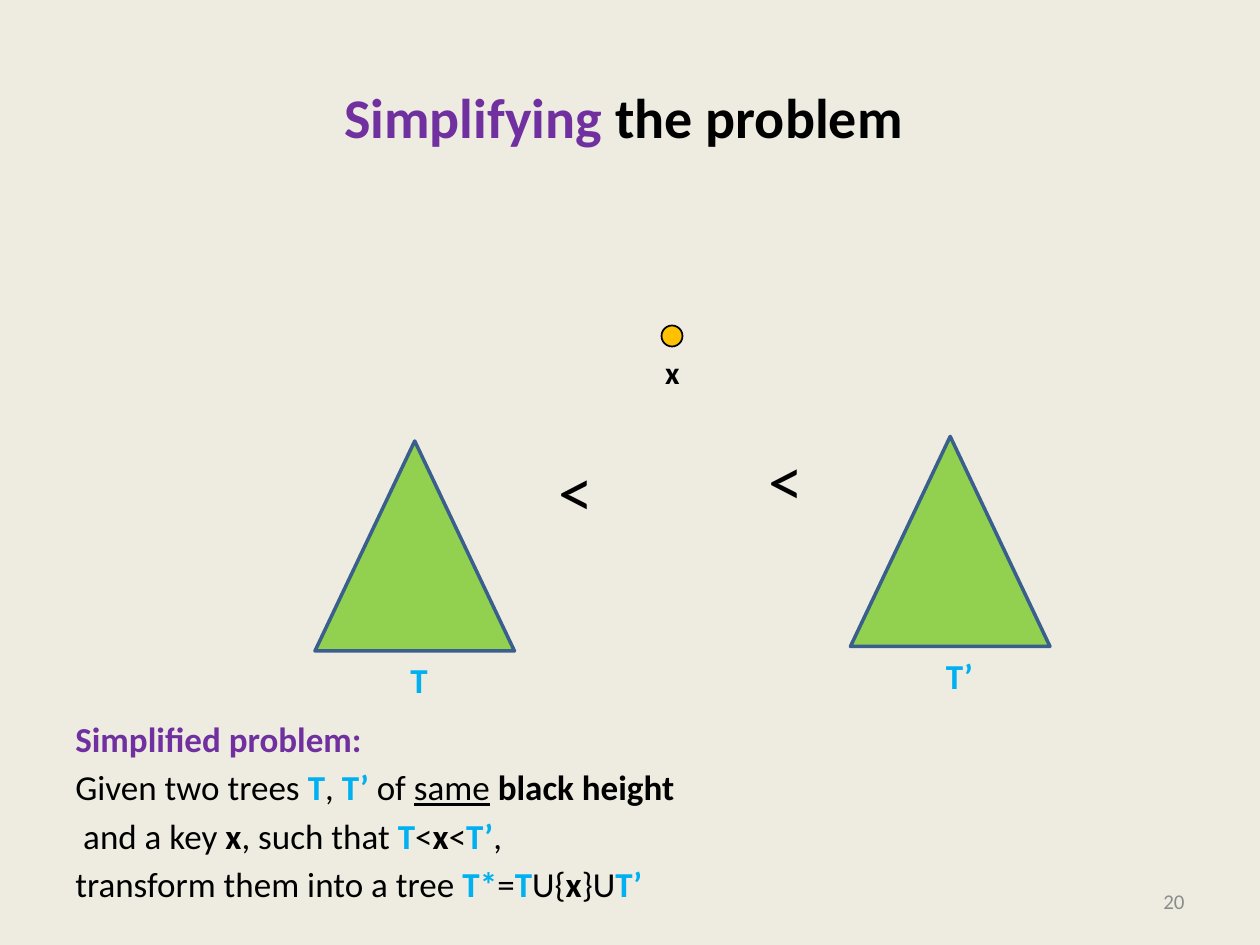
from pptx import Presentation
from pptx.dml.color import RGBColor
from pptx.enum.shapes import MSO_SHAPE
from pptx.enum.text import MSO_ANCHOR, PP_ALIGN
from pptx.util import Pt

HUES = {
    "back": "EEECE1", "head": "7030A0", "text": "000000", "tree": "00B0F0",
    "page": "8C8C8C", "leaf": "92D050", "edge": "3A5F8C", "node": "FFC000",
}
# Run style: colour, bold, underline
LOOKS = {
    "head": ("head", True, False),
    "tree": ("tree", True, False),
    "bold": ("text", True, False),
    "text": ("text", False, False),
    "line": ("text", False, True),
    "page": ("page", False, False),
}

deck = Presentation()
deck.slide_width, deck.slide_height = Pt(720), Pt(540)
slide = deck.slides.add_slide(deck.slide_layouts[6])
slide.background.fill.solid()
slide.background.fill.fore_color.rgb = RGBColor.from_string(HUES["back"])


def write(x, y, w, h, size, lines, align=PP_ALIGN.LEFT,
          anchor=MSO_ANCHOR.TOP, wrap=True, gap=0):
    """Add a text box; each line is a list of (text, look) runs."""
    frame = slide.shapes.add_textbox(Pt(x), Pt(y), Pt(w), Pt(h)).text_frame
    frame.word_wrap = wrap
    frame.vertical_anchor = anchor
    for i, line in enumerate(lines):
        para = frame.add_paragraph() if i else frame.paragraphs[0]
        para.alignment = align
        para.space_before = Pt(gap if i else 0)
        for text, look in line:
            run = para.add_run()
            run.text = text
            hue, bold, under = LOOKS[look]
            font = run.font
            font.name, font.size = "Calibri", Pt(size)
            font.bold, font.underline = bold, under
            font.color.rgb = RGBColor.from_string(HUES[hue])


def draw(kind, x, y, w, h, fill, edge, width):
    """Add a filled and outlined preset shape."""
    shape = slide.shapes.add_shape(kind, Pt(x), Pt(y), Pt(w), Pt(h))
    shape.shadow.inherit = False
    shape.fill.solid()
    shape.fill.fore_color.rgb = RGBColor.from_string(HUES[fill])
    shape.line.color.rgb = RGBColor.from_string(HUES[edge])
    shape.line.width = Pt(width)


# Title
write(36, 21.6, 648, 90, 32,
      [[("Simplifying", "head"), (" the problem ", "bold")]],
      PP_ALIGN.CENTER, MSO_ANCHOR.MIDDLE)

# Problem statement
write(36, 406.5, 648, 120, 20, [
    [("Simplified problem:", "head")],
    [("Given two trees ", "text"), ("T", "tree"), (", ", "text"),
     ("T’", "tree"), (" of ", "text"), ("same", "line"), (" ", "text"),
     ("black height", "bold")],
    [(" and a key ", "text"), ("x", "bold"), (", such that ", "text"),
     ("T", "tree"), ("<", "text"), ("x", "bold"), ("<", "text"),
     ("T’", "tree"), (",", "text")],
    [("transform them into a tree ", "text"), ("T*", "tree"), ("=", "text"),
     ("T", "tree"), ("U{", "text"), ("x", "bold"), ("}U", "text"),
     ("T’", "tree")],
], gap=3.6)

# Page number
write(516, 500.5, 168, 28.8, 12, [[("20", "page")]],
      PP_ALIGN.RIGHT, MSO_ANCHOR.MIDDLE)

# Trees with their names
for name, x, y, w in [("T", 180, 252, 24.5), ("T’", 486, 249.4, 30.2)]:
    draw(MSO_SHAPE.ISOSCELES_TRIANGLE, x, y, 114, 120, "leaf", "edge", 2)
    write(x + 47.4, y + 121, w, 31.5, 20, [[(name, "tree")]], wrap=False)

# Key x between the trees
draw(MSO_SHAPE.OVAL, 378, 186, 12, 12, "node", "text", 1)
write(373, 198, 23, 29, 18, [[("x", "bold")]], wrap=False)
for x, y in [(312, 252), (432, 246)]:
    write(x, y, 34.3, 55.7, 40, [[("<", "text")]], wrap=False)

deck.save("out.pptx")
